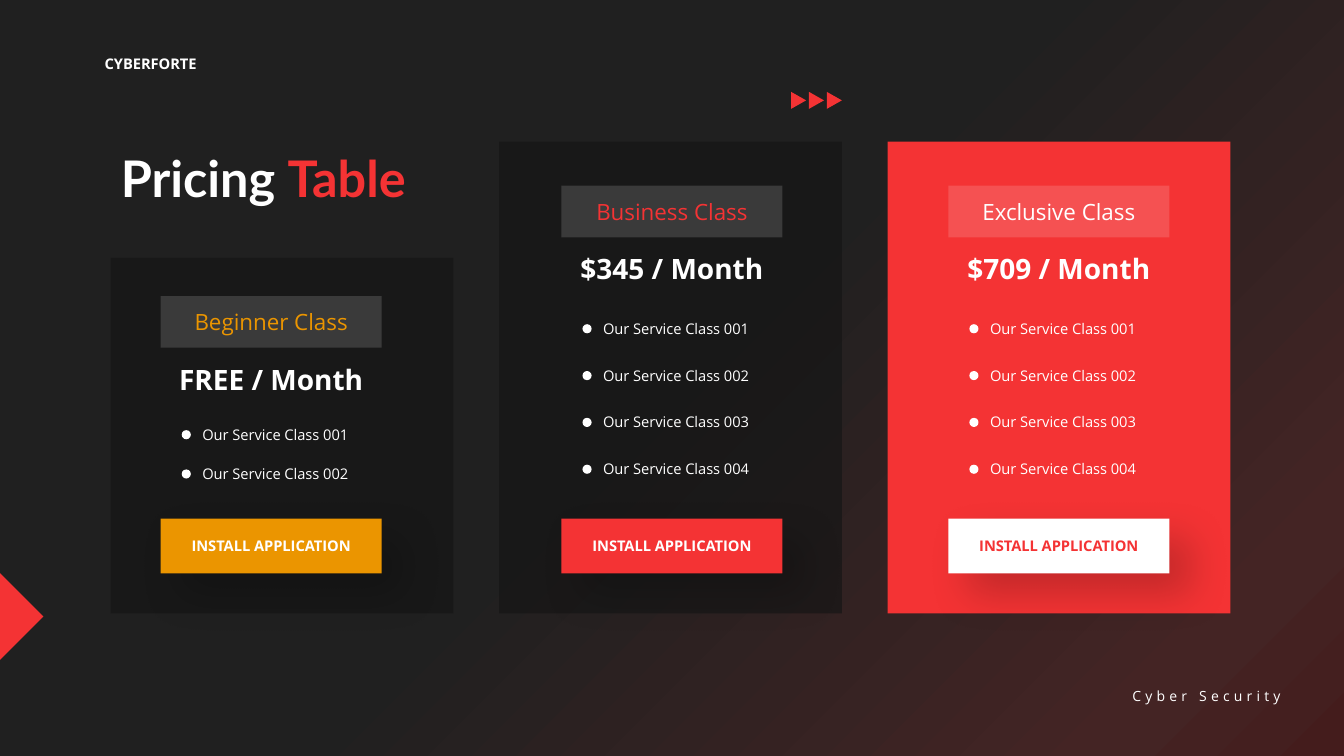
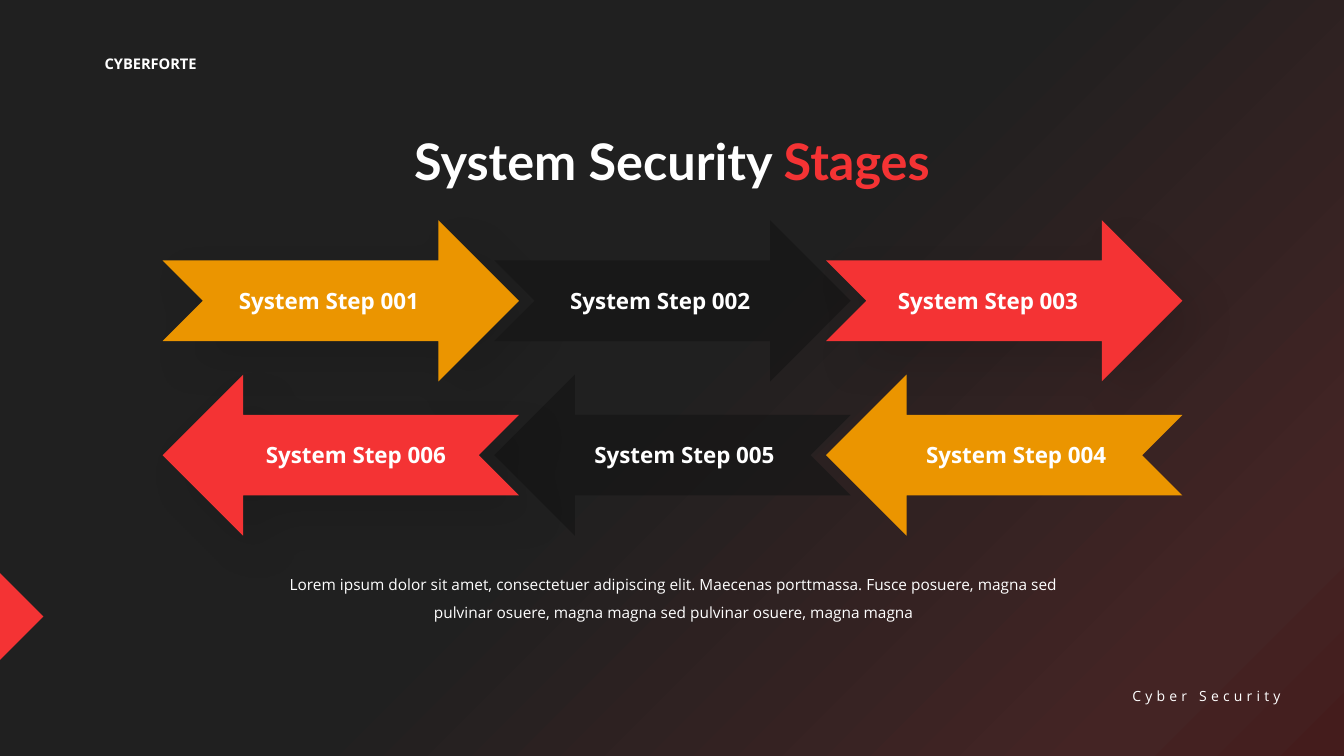
from dataclasses import dataclass

from lxml.etree import SubElement
from pptx import Presentation
from pptx.dml.color import RGBColor
from pptx.enum.shapes import MSO_SHAPE
from pptx.enum.text import MSO_ANCHOR, MSO_AUTO_SIZE, PP_ALIGN
from pptx.oxml.ns import qn
from pptx.util import Cm, Pt


@dataclass(frozen=True)
class Theme:
    white: str = "FFFFFF"
    red: str = "F43334"
    orange: str = "EB9500"
    panel: str = "161616"
    shadow: str = "000000"
    background: tuple = ((0, "202020"), (50, "202020"), (88, "442424"), (100, "441C1C"))
    panel_opacity: int = 70
    badge_opacity: int = 15
    heading_font: str = "Lato"
    body_font: str = "Open Sans"
    title_size: float = 36
    price_size: float = 20
    label_size: float = 16
    paragraph_size: float = 11
    body_size: float = 10.5
    footer_size: float = 10


THEME = Theme()

COMPANY = "CYBERFORTE"
FOOTER = "Cyber Security"
BUTTON_TEXT = "INSTALL APPLICATION"
SERVICES = [
    "Our Service Class 001",
    "Our Service Class 002",
    "Our Service Class 003",
    "Our Service Class 004",
]

PRICING_TITLE = [("Pricing ", THEME.white), ("Table", THEME.red)]
PLANS = [
    dict(name="Beginner Class", price="FREE / Month", services=SERVICES[:2],
         card=THEME.panel, opacity=THEME.panel_opacity, accent=THEME.orange,
         button=THEME.orange, button_text=THEME.white,
         top=6.5, left=4.05, badge_top=7.46, list_top=10.6, pitch=0.99),
    dict(name="Business Class", price="$345 / Month", services=SERVICES,
         card=THEME.panel, opacity=THEME.panel_opacity, accent=THEME.red,
         button=THEME.red, button_text=THEME.white,
         top=3.57, left=14.15, badge_top=4.68, list_top=7.93, pitch=1.18),
    dict(name="Exclusive Class", price="$709 / Month", services=SERVICES,
         card=THEME.red, opacity=100, accent=THEME.white,
         button=THEME.white, button_text=THEME.red,
         top=3.57, left=23.9, badge_top=4.68, list_top=7.93, pitch=1.18),
]

STAGES_TITLE = [("System Security ", THEME.white), ("Stages", THEME.red)]
STAGE_ROWS = [
    dict(top=5.55, flip=False, align=PP_ALIGN.LEFT, steps=[
        ("System Step 001", 0, THEME.orange, True, 5.77),
        ("System Step 002", 1, THEME.panel, False, 14.12),
        ("System Step 003", 2, THEME.red, True, 22.38),
    ]),
    dict(top=9.44, flip=True, align=PP_ALIGN.RIGHT, steps=[
        ("System Step 004", 2, THEME.orange, False, 21.63),
        ("System Step 005", 1, THEME.panel, False, 13.27),
        ("System Step 006", 0, THEME.red, True, 4.99),
    ]),
]
STAGES_TEXT = (
    "Lorem ipsum dolor sit amet, consectetuer adipiscing elit. Maecenas porttmassa. "
    "Fusce posuere, magna sed pulvinar osuere, magna magna sed pulvinar osuere, magna magna"
)


def write_text(frame, text, *, size, color=THEME.white, font=THEME.body_font, bold=False,
               align=PP_ALIGN.LEFT, anchor=MSO_ANCHOR.TOP, line_spacing=None, tracking=None):
    frame.word_wrap = True
    frame.vertical_anchor = anchor
    para = frame.paragraphs[0]
    para.alignment = align
    if line_spacing:
        para.line_spacing = line_spacing
    spans = [(text, color)] if isinstance(text, str) else text
    for words, span_color in spans:
        span = para.add_run()
        span.text = words
        span.font.name = font
        span.font.size = Pt(size)
        span.font.bold = bold
        span.font.color.rgb = RGBColor.from_string(span_color)
        if tracking:
            span.font._element.set("spc", str(tracking * 100))


def add_text(slide, place, text, **style):
    box = slide.shapes.add_textbox(*map(Cm, place))
    write_text(box.text_frame, text, **style)
    box.text_frame.auto_size = MSO_AUTO_SIZE.SHAPE_TO_FIT_TEXT


def add_shadow(shape, opacity):
    effects = shape.element.spPr.find(qn("a:effectLst"))
    shadow = SubElement(effects, qn("a:outerShdw"), blurRad=str(Pt(30)), dist=str(Pt(20)),
                        dir="2700000", algn="tl", rotWithShape="0")
    color = SubElement(shadow, qn("a:srgbClr"), val=THEME.shadow)
    SubElement(color, qn("a:alpha"), val=str(opacity * 1000))


def add_block(slide, kind, place, color, *, opacity=100, shadow=0, rotation=0, flip=False):
    shape = slide.shapes.add_shape(kind, *map(Cm, place))
    shape.rotation = rotation
    shape.fill.solid()
    shape.fill.fore_color.rgb = RGBColor.from_string(color)
    shape.line.fill.background()
    shape.shadow.inherit = False
    properties = shape.element.spPr
    if opacity < 100:
        fill_color = next(properties.iter(qn("a:srgbClr")))
        SubElement(fill_color, qn("a:alpha"), val=str(opacity * 1000))
    if shadow:
        add_shadow(shape, shadow)
    if flip:
        properties.find(qn("a:xfrm")).set("flipH", "1")
    return shape


def add_label_box(slide, place, text, fill, *, opacity=100, shadow=0, **style):
    box = add_block(slide, MSO_SHAPE.ROUNDED_RECTANGLE, place, fill,
                    opacity=opacity, shadow=shadow)
    box.adjustments[0] = 0
    write_text(box.text_frame, text, align=PP_ALIGN.CENTER, anchor=MSO_ANCHOR.MIDDLE, **style)


def paint_background(master):
    fill = master.background.fill
    fill.gradient()
    fill.gradient_angle = 315
    stops = next(master.element.iter(qn("a:gsLst")))
    for stop in list(stops):
        stops.remove(stop)
    for position, color in THEME.background:
        stop = SubElement(stops, qn("a:gs"), pos=str(position * 1000))
        SubElement(stop, qn("a:srgbClr"), val=color)


def add_page(deck, title, place, align):
    page = deck.slides.add_slide(deck.slide_layouts[5])
    heading = page.shapes.title
    heading.left, heading.top, heading.width, heading.height = map(Cm, place)
    write_text(heading.text_frame, title, size=THEME.title_size, font=THEME.heading_font,
               bold=True, align=align)
    heading.text_frame.auto_size = MSO_AUTO_SIZE.SHAPE_TO_FIT_TEXT
    add_text(page, (2.39, 1.25, 3, 0.71), COMPANY, size=THEME.body_size, bold=True)
    add_text(page, (27.97, 17.2, 4.55, 0.68), FOOTER, size=THEME.footer_size,
             align=PP_ALIGN.RIGHT, tracking=3)
    add_block(page, MSO_SHAPE.RIGHT_TRIANGLE, (-0.78, 14.76, 1.55, 1.55), THEME.red,
              rotation=225)
    return page


def add_plan(page, index, plan):
    card_bottom, card_width, card_pitch = 15.46, 8.64, 9.79
    left, badge_top, item_width = plan["left"], plan["badge_top"], 5.57
    add_block(page, MSO_SHAPE.RECTANGLE,
              (2.79 + index * card_pitch, plan["top"], card_width, card_bottom - plan["top"]),
              plan["card"], opacity=plan["opacity"])
    add_label_box(page, (left, 13.07, item_width, 1.38), BUTTON_TEXT, plan["button"],
                  shadow=20, size=THEME.body_size, color=plan["button_text"], bold=True)
    add_label_box(page, (left, badge_top, item_width, 1.3), plan["name"], THEME.white,
                  opacity=THEME.badge_opacity, size=THEME.label_size, color=plan["accent"])
    add_text(page, (left + 0.06, badge_top + 1.54, 5.45, 1.11), plan["price"],
             size=THEME.price_size, bold=True, align=PP_ALIGN.CENTER)
    for row, service in enumerate(plan["services"]):
        top = plan["list_top"] + row * plan["pitch"]
        add_text(page, (left + 0.8, top, 4.78, 0.71), service, size=THEME.body_size)
        add_block(page, MSO_SHAPE.OVAL, (left + 0.53, top + 0.24, 0.23, 0.23), THEME.white)


def build_pricing(deck):
    page = add_page(deck, PRICING_TITLE, (2.79, 3.58, 8.69, 1.8), PP_ALIGN.LEFT)
    for index, plan in enumerate(PLANS):
        add_plan(page, index, plan)
    for index in range(3):
        add_block(page, MSO_SHAPE.ISOSCELES_TRIANGLE,
                  (19.91 + index * 0.45, 2.34, 0.43, 0.38), THEME.red, rotation=90)


def build_stages(deck):
    page = add_page(deck, STAGES_TITLE, (8.53, 3.15, 16.81, 1.8), PP_ALIGN.CENTER)
    for row in STAGE_ROWS:
        for _, column, color, shadowed, _ in row["steps"]:
            add_block(page, MSO_SHAPE.NOTCHED_RIGHT_ARROW,
                      (4.1 + column * 8.36, row["top"], 8.98, 4.06), color,
                      opacity=THEME.panel_opacity if color == THEME.panel else 100,
                      shadow=10 if shadowed else 0, flip=row["flip"])
        for label, _, _, _, left in row["steps"]:
            add_text(page, (left, row["top"] + 1.56, 6.5, 0.94), label,
                     size=THEME.label_size, bold=True, align=row["align"])
    add_text(page, (6.61, 14.14, 20.75, 1.68), STAGES_TEXT, size=THEME.paragraph_size,
             align=PP_ALIGN.CENTER, line_spacing=1.5)


def main():
    deck = Presentation()
    deck.slide_width, deck.slide_height = Cm(33.87), Cm(19.05)
    paint_background(deck.slide_master)
    build_pricing(deck)
    build_stages(deck)
    deck.save("out.pptx")


if __name__ == "__main__":
    main()
